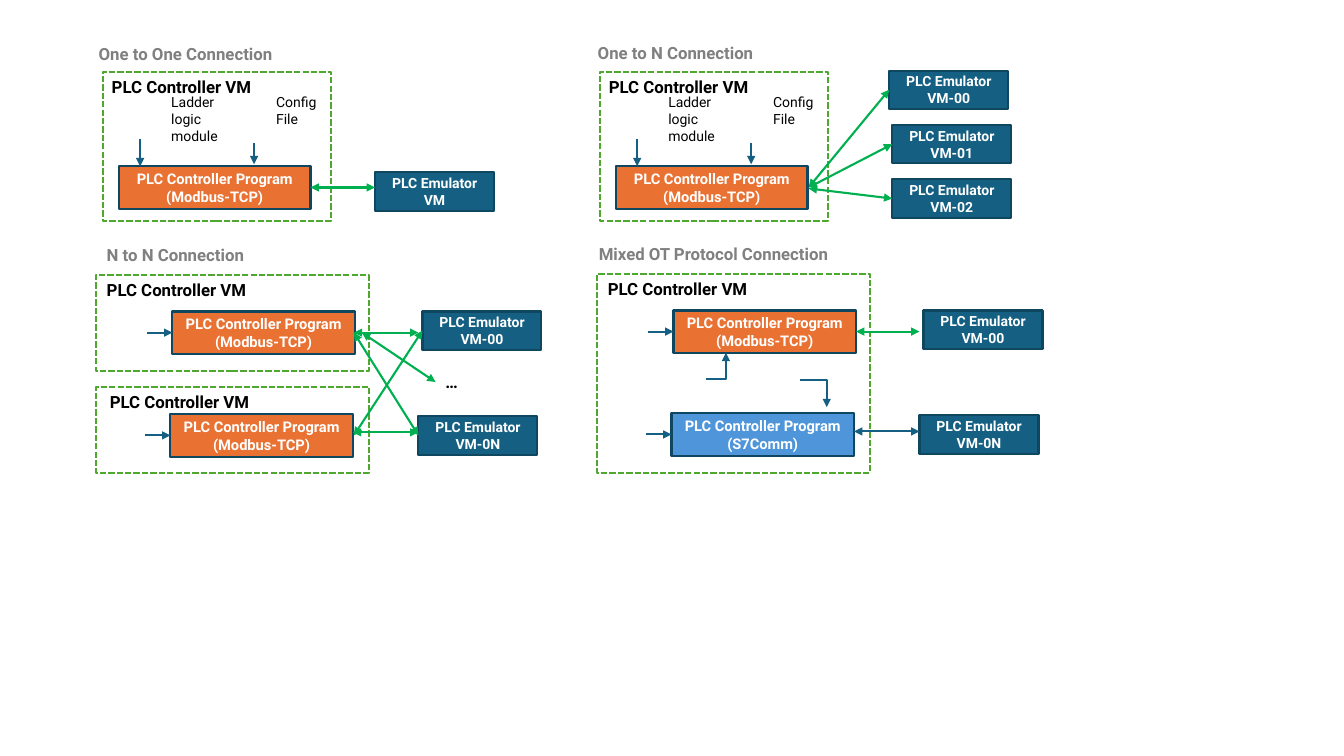
from lxml import etree
from pptx import Presentation
from pptx.dml.color import RGBColor
from pptx.enum import dml, shapes, text
from pptx.oxml import ns
from pptx.util import Inches, Pt

WHITE = RGBColor(0xFF, 0xFF, 0xFF)
BLACK = RGBColor(0, 0, 0)
GREY = RGBColor(0x80, 0x80, 0x80)
DASH = RGBColor(0x4E, 0xA7, 0x2E)
GREEN = RGBColor(0x00, 0xB0, 0x50)
TEAL = RGBColor(0x15, 0x60, 0x82)
EDGE = RGBColor(0x10, 0x47, 0x60)
ORANGE = RGBColor(0xE9, 0x71, 0x32)
BLUE = RGBColor(0x4E, 0x95, 0xD9)

MODBUS = "PLC Controller Program (Modbus-TCP)"
S7 = "PLC Controller Program (S7Comm)"


class Board:
    """Style and current slide of the connection diagrams."""
    face = "Roboto"
    width = Pt(1.5)

    def __init__(self, slide):
        self.items = slide.shapes

    def letter(self, frame, words, size, color, bold=True, align=None):
        frame.word_wrap = True
        para = frame.paragraphs[0]
        para.alignment = align
        run = para.add_run()
        run.text = words
        look = {"name": self.face, "size": Pt(size), "bold": bold}
        for key, value in look.items():
            setattr(run.font, key, value)
        run.font.color.rgb = color

    def label(self, words, x, y, w, h=0.3, size=12, color=BLACK, bold=True):
        box = self.items.add_textbox(*map(Inches, (x, y, w, h)))
        self.letter(box.text_frame, words, size, color, bold)
        box.text_frame.auto_size = text.MSO_AUTO_SIZE.SHAPE_TO_FIT_TEXT

    def rect(self, x, y, w, h, fill, edge):
        box = self.items.add_shape(shapes.MSO_SHAPE.RECTANGLE,
                                   *map(Inches, (x, y, w, h)))
        box.shadow.inherit = False
        box.fill.solid()
        box.fill.fore_color.rgb = fill
        box.line.color.rgb = edge
        box.line.width = self.width
        return box

    def host(self, x, y, w, h, shift=0.01):
        """Dashed virtual machine with its name."""
        box = self.rect(x, y, w, h, WHITE, DASH)
        box.line.dash_style = dml.MSO_LINE.SQUARE_DOT
        self.label("PLC Controller VM", x + shift, y, 1.91)

    def node(self, words, x, y, w, h, fill, size):
        frame = self.rect(x, y, w, h, fill, EDGE).text_frame
        frame.vertical_anchor = text.MSO_ANCHOR.MIDDLE
        self.letter(frame, words, size, WHITE, align=text.PP_ALIGN.CENTER)

    def program(self, x, y, w=1.81, words=MODBUS, fill=ORANGE):
        self.node(words, x, y, w, 0.42, fill, 10.5)

    def emulator(self, tag, x, y):
        self.node("PLC Emulator " + tag, x, y, 1.18, 0.38, TEAL, 10)

    def arrow(self, x1, y1, x2, y2, color=TEAL, both=False, bent=False):
        kind = shapes.MSO_CONNECTOR.ELBOW if bent else shapes.MSO_CONNECTOR.STRAIGHT
        link = self.items.add_connector(kind, *map(Inches, (x1, y1, x2, y2)))
        link.line.color.rgb = color
        link.line.width = self.width
        props = link._element.spPr
        if bent:  # one corner only
            props.find(ns.qn("a:prstGeom")).set("prst", "bentConnector2")
        line = props.find(ns.qn("a:ln"))
        for end in ("a:headEnd", "a:tailEnd") if both else ("a:tailEnd",):
            etree.SubElement(line, ns.qn(end)).set("type", "triangle")
        etree.SubElement(props, ns.qn("a:effectLst"))

    def link(self, *ends, color=GREEN):
        self.arrow(*ends, color=color, both=True)

    def source(self, x, y):
        """Controller VM with ladder logic and config inputs."""
        self.host(x, y, 2.26, 1.48, -0.01)
        for words, dx, w, h in (("Ladder logic module", 0.58, 0.87, 0.61),
                                ("Config File", 1.62, 0.64, 0.44)):
            self.label(words, x + dx, y + 0.17, w, h, 10, bold=False)
        self.program(x + 0.16, y + 0.94, 1.9)
        self.arrow(x + 0.37, y + 0.67, x + 0.37, y + 0.94)
        self.arrow(x + 1.5, y + 0.71, x + 1.5, y + 0.92)

    def fed(self, x, y, **kind):
        """Program with a short input arrow on its left."""
        self.program(x, y, **kind)
        self.arrow(x - 0.25, y + 0.21, x, y + 0.21)


def main():
    deck = Presentation()
    deck.slide_width, deck.slide_height = Inches(13.33), Inches(7.5)
    board = Board(deck.slides.add_slide(deck.slide_layouts[6]))

    # Headings
    for words, x, y, w in (("One to One Connection", 0.88, 0.38, 2.53),
                           ("One to N Connection", 5.83, 0.37, 2.53),
                           ("N to N Connection", 0.96, 2.38, 1.76),
                           ("Mixed OT Protocol Connection", 5.84, 2.37, 2.71)):
        board.label(words, x, y, w, color=GREY)

    # One to one
    board.source(1.02, 0.71)
    board.emulator("VM", 3.72, 1.71)
    board.link(3.08, 1.86, 3.72, 1.86)

    # One to N
    board.source(5.95, 0.71)
    for i, (x, start) in enumerate(((8.82, 1.86), (8.85, 1.86), (8.85, 1.87))):
        y = 0.7 + 0.54 * i
        board.emulator(f"VM-0{i}", x, y)
        board.link(8.02, start, x, y + 0.19)

    # N to N
    board.host(0.95, 3.84, 2.71, 0.85, 0.04)
    board.host(0.95, 2.73, 2.71, 0.95)
    board.fed(1.71, 3.09)
    board.fed(1.69, 4.11)
    board.emulator("VM-00", 4.19, 3.09)
    board.emulator("VM-0N", 4.15, 4.13)
    board.label("…", 4.32, 3.64, 0.54)
    for ends in ((3.51, 3.3, 4.15, 3.3), (3.5, 4.29, 4.15, 4.29),
                 (3.51, 3.3, 4.15, 4.32), (3.51, 4.32, 4.19, 3.28),
                 (3.59, 3.3, 4.32, 3.79)):
        board.link(*ends)

    # Mixed protocols
    board.host(5.92, 2.72, 2.71, 1.97)
    board.fed(6.68, 3.08)
    board.fed(6.66, 4.1, words=S7, fill=BLUE)
    board.emulator("VM-00", 9.16, 3.08)
    board.emulator("VM-0N", 9.12, 4.12)
    board.link(8.49, 3.29, 9.12, 3.29)
    board.link(8.47, 4.28, 9.12, 4.28, color=TEAL)
    board.arrow(7, 3.76, 7.2, 3.5, bent=True)
    board.arrow(7.93, 3.77, 8.2, 4.04, bent=True)

    deck.save("out.pptx")


if __name__ == "__main__":
    main()
